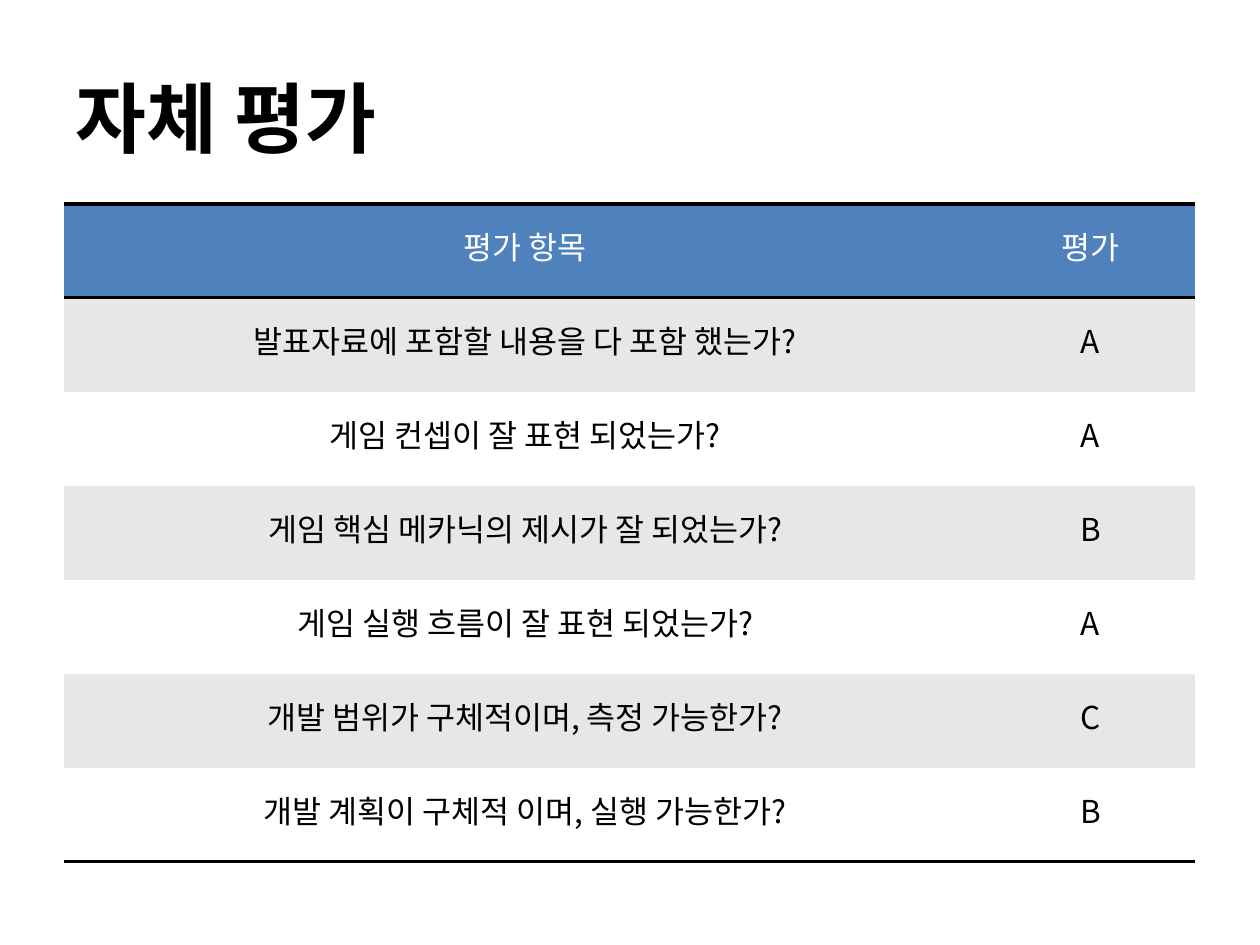
from lxml.etree import SubElement
from pptx import Presentation
from pptx.dml.color import RGBColor
from pptx.enum.text import MSO_ANCHOR, PP_ALIGN
from pptx.oxml import parse_xml
from pptx.oxml.ns import nsdecls, qn
from pptx.util import Pt

COLORS = {"ink": "000000", "paper": "FFFFFF", "header": "4F81BD", "band": "E7E7E7"}
FONT = "Noto Sans CJK KR"
PLAIN_TABLE = "{2D5ABB26-0587-4C30-8999-92F81FD0307C}"
EMU_PER_PX = 914400 / 126

ROWS = [
    ("평가 항목", "평가"),
    ("발표자료에 포함할 내용을 다 포함 했는가?", "A"),
    ("게임 컨셉이 잘 표현 되었는가?", "A"),
    ("게임 핵심 메카닉의 제시가 잘 되었는가?", "B"),
    ("게임 실행 흐름이 잘 표현 되었는가?", "A"),
    ("개발 범위가 구체적이며, 측정 가능한가?", "C"),
    ("개발 계획이 구체적 이며, 실행 가능한가?", "B"),
]


def px(value):
    return round(value * EMU_PER_PX)


def apply(target, values):
    for name, value in values.items():
        setattr(target, name, value)


class SlideBuilder:
    def __init__(self, deck):
        self.slide = deck.slides.add_slide(deck.slide_layouts[5])

    def add_text(self, frame, text, size, color, align, bold=False):
        para = frame.paragraphs[0]
        para.alignment = align
        span = para.add_run()
        span.text = text
        apply(span.font, {"size": Pt(size), "name": FONT, "bold": bold})
        span.font.color.rgb = RGBColor.from_string(COLORS[color])
        SubElement(span._r.get_or_add_rPr(), qn("a:ea"), typeface=FONT)

    def title(self, text, left, top, width, height):
        box = self.slide.shapes.title
        apply(box, {"left": px(left), "top": px(top), "width": px(width), "height": px(height)})
        box.text_frame.vertical_anchor = MSO_ANCHOR.MIDDLE
        self.add_text(box.text_frame, text, 44, "ink", PP_ALIGN.LEFT, bold=True)

    def border(self, cell, side):
        line = parse_xml(
            f'<a:{side} {nsdecls("a")} w="{Pt(2)}"><a:solidFill>'
            f'<a:srgbClr val="{COLORS["ink"]}"/></a:solidFill></a:{side}>'
        )
        cell._tc.get_or_add_tcPr().insert(0, line)

    def cell(self, cell, text, fill, color):
        margins = ("margin_left", "margin_right", "margin_top", "margin_bottom")
        apply(cell, dict.fromkeys(margins, px(19)))
        cell.fill.solid()
        cell.fill.fore_color.rgb = RGBColor.from_string(COLORS[fill])
        self.add_text(cell.text_frame, text, 18, color, PP_ALIGN.CENTER)

    def table(self, rows, left, top, widths, row_height):
        frame = self.slide.shapes.add_table(
            len(rows), len(widths), px(left), px(top), px(sum(widths)), px(row_height * len(rows))
        )
        table = frame.table
        table._tbl.tblPr.find(qn("a:tableStyleId")).text = PLAIN_TABLE
        for column, width in zip(table.columns, widths):
            column.width = px(width)
        for row_index, texts in enumerate(rows):
            table.rows[row_index].height = px(row_height)
            is_header = row_index == 0
            fill = "header" if is_header else ("band" if row_index % 2 else "paper")
            for column_index, text in enumerate(texts):
                cell = table.cell(row_index, column_index)
                self.cell(cell, text, fill, "paper" if is_header else "ink")
                if is_header or row_index == len(rows) - 1:
                    self.border(cell, "lnB")
                if is_header:
                    self.border(cell, "lnT")


def main():
    deck = Presentation()
    apply(deck, {"slide_width": px(1260), "slide_height": px(945)})
    builder = SlideBuilder(deck)
    builder.title("자체 평가", 63, 38, 1134, 157)
    builder.table(ROWS, 64, 204, (922, 209), 94)
    deck.save("out.pptx")


if __name__ == "__main__":
    main()
